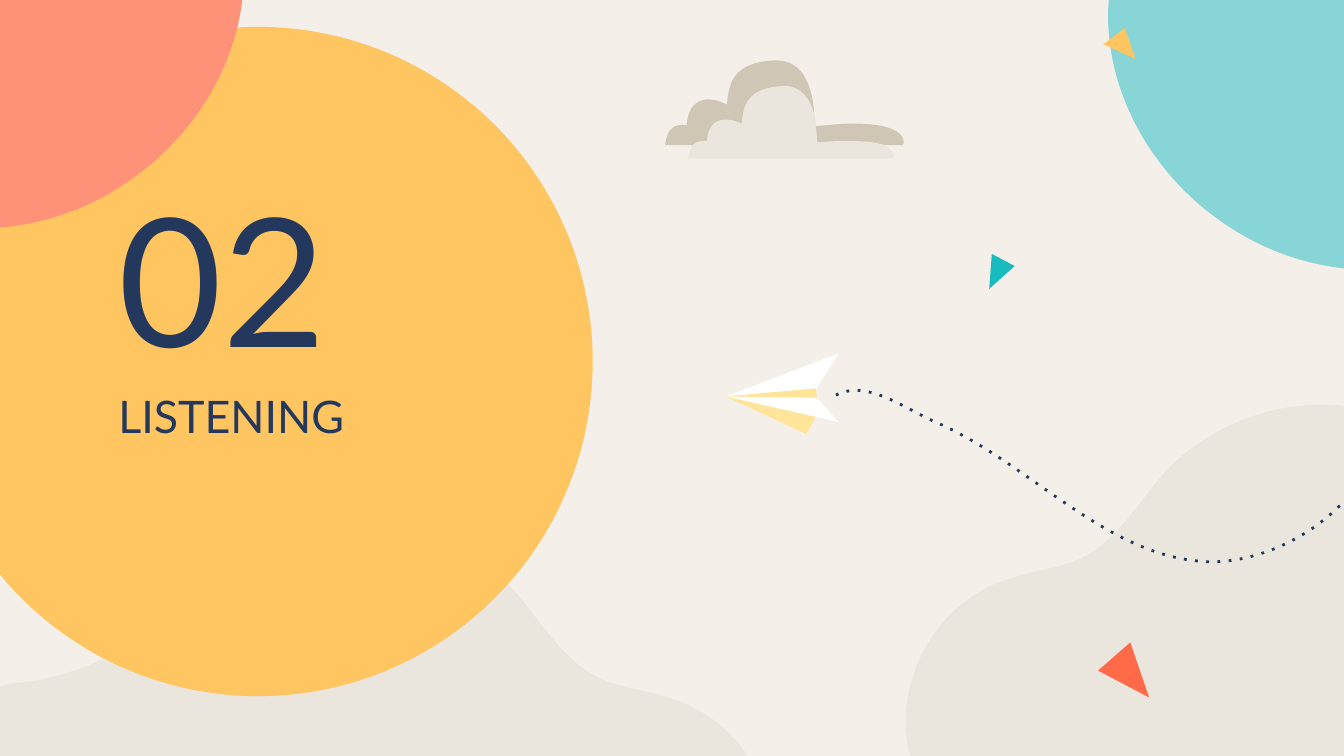
from dataclasses import dataclass

from lxml.etree import SubElement
from pptx import Presentation
from pptx.dml.color import RGBColor
from pptx.enum.dml import MSO_LINE
from pptx.enum.shapes import MSO_SHAPE
from pptx.enum.text import MSO_ANCHOR, MSO_AUTO_SIZE, PP_ALIGN
from pptx.oxml.ns import qn
from pptx.util import Inches, Pt


@dataclass(frozen=True)
class Theme:
    paper: str = "F4F0E9"
    hill: str = "EBE6DD"
    cloud: str = "CFC6B5"
    sun: str = "FFC561"
    sky: str = "87D5D6"
    teal: str = "18BCBE"
    coral: str = "FD9279"
    red: str = "FF6B48"
    cream: str = "FFE599"
    white: str = "FFFFFF"
    ink: str = "23385C"
    font: str = "Lato"
    number_size: int = 96
    title_size: int = 24


@dataclass(frozen=True)
class Box:
    x: int
    y: int
    w: int
    h: int


THEME = Theme()
COLUMNS = 1000
WIDTH = Inches(10)
UNIT = WIDTH // COLUMNS

HILL = [(349, 0), (392, 0, 435, 18, 465, 49), (485, 71, 501, 101, 528, 114),
        (544, 122, 563, 123, 580, 129), (608, 137, 632, 157, 645, 182),
        (659, 207, 663, 238, 655, 265), (18, 261), (17, 262, 17, 262, 16, 262),
        (14, 262, 11, 260, 10, 258), (0, 227, 9, 192, 26, 165),
        (37, 147, 52, 131, 72, 124), (85, 119, 98, 118, 112, 116),
        (132, 112, 152, 105, 170, 95), (211, 72, 242, 34, 285, 14),
        (305, 5, 327, 0, 349, 0)]
CORNER = [(202, 201), (213, 201, 224, 200, 235, 198),
          (240, 198, 245, 197, 250, 195), (250, 0), (4, 0),
          (0, 48, 20, 107, 70, 151), (114, 189, 161, 201, 202, 201)]
TRAIL = [(0, 74), (23, 62, 51, 84, 74, 94), (144, 124, 202, 196, 278, 198),
         (327, 199, 387, 162, 400, 115), (411, 78, 391, 38, 384, 0)]
CLOUD_BACK = [(83, 0), (83, 0, 82, 0, 82, 0), (50, 1, 47, 18, 46, 33),
              (46, 33, 39, 29, 32, 29), (25, 29, 17, 33, 16, 48),
              (16, 48, 14, 48, 12, 48), (8, 48, 1, 50, 0, 63), (177, 63),
              (177, 63, 184, 47, 139, 47), (131, 47, 122, 48, 111, 49),
              (111, 49, 114, 0, 83, 0)]
CLOUD_EDGE = [(111, 40), (111, 45, 111, 49, 111, 49), (112, 49),
              (112, 46, 112, 43, 111, 40)]
CLOUD_BASE = [(20, 63), (19, 66, 17, 69, 17, 73), (170, 73),
              (170, 73, 172, 68, 163, 63)]
CLOUD_FRONT = [(88, 19), (60, 20, 58, 35, 57, 47), (57, 47, 51, 44, 45, 44),
               (39, 44, 32, 47, 31, 60), (31, 60, 29, 60, 28, 60),
               (25, 60, 23, 61, 20, 63), (163, 63), (158, 61, 150, 60, 137, 60),
               (130, 60, 122, 60, 113, 61), (113, 61, 113, 56, 112, 49),
               (111, 49), (111, 49, 111, 45, 111, 40),
               (108, 30, 102, 19, 89, 19)]


def rgb(color):
    return RGBColor.from_string(color)


def paint(sp, color):
    sp.shadow.inherit = False
    sp.fill.solid()
    sp.fill.fore_color.rgb = rgb(color)
    sp.line.fill.background()


def bend(sp, lines, segments):
    for line, points in zip(lines, segments):
        if len(points) == 3:
            line.clear()
            line.tag = qn("a:cubicBezTo")
            for x, y in points:
                SubElement(line, qn("a:pt"), x=str(x - sp.left), y=str(y - sp.top))


def outline(shapes, box, paths, mirror=False, close=True):
    def place(part):
        return [((box.x + (box.w - x if mirror else x)) * UNIT, (box.y + y) * UNIT)
                for x, y in zip(part[::2], part[1::2])]

    builder = None
    segments = []
    for path in paths:
        (first,), *rest = [place(part) for part in path]
        if builder is None:
            builder = shapes.build_freeform(*first, scale=1.0)
        else:
            builder.move_to(*first)
        builder.add_line_segments([points[-1] for points in rest], close=False)
        segments += rest
    sp = builder.convert_to_shape()
    bend(sp, sp._element.xpath(".//a:lnTo"), segments)
    if close:
        geometry = sp._element.xpath(".//a:path")[0]
        for move in geometry.findall(qn("a:moveTo"))[1:]:
            move.addprevious(geometry.makeelement(qn("a:close")))
        SubElement(geometry, qn("a:close"))
    return sp


def add_hill(shapes, box, mirror=False):
    paint(outline(shapes, box, [HILL], mirror), THEME.hill)


def add_corner(shapes, box, color, mirror=False):
    paint(outline(shapes, box, [CORNER], mirror), color)


def add_sun(shapes, box):
    sp = shapes.add_shape(MSO_SHAPE.OVAL, *(v * UNIT for v in (box.x, box.y, box.w, box.h)))
    paint(sp, THEME.sun)


def add_confetti(shapes, box, corners, color):
    paint(outline(shapes, box, [corners]), color)


def add_plane(shapes, box):
    nose = (0, 32)
    for start, end, color in (((84, 0), (65, 30), THEME.white),
                              ((71, 40), (60, 60), THEME.cream),
                              ((65, 30), (84, 51), THEME.white),
                              ((67, 26), (68, 33), THEME.cream)):
        paint(outline(shapes, box, [[start, nose, end]]), color)


def add_trail(shapes, box):
    sp = outline(shapes, box, [TRAIL], close=False)
    sp.shadow.inherit = False
    sp.fill.background()
    sp.line.color.rgb = rgb(THEME.ink)
    sp.line.width = Pt(1.5)
    sp.line.dash_style = MSO_LINE.ROUND_DOT
    for dash in sp._element.xpath(".//a:prstDash"):
        dash.set("val", "dot")


def add_cloud(shapes, box):
    for paths, color in (([CLOUD_BACK], THEME.cloud),
                         ([CLOUD_EDGE, CLOUD_BASE], THEME.hill),
                         ([CLOUD_FRONT], THEME.hill)):
        paint(outline(shapes, box, paths), color)


def set_heading(shapes, sp, box, text, size):
    shapes._spTree.append(sp._element)
    sp.left, sp.top, sp.width, sp.height = (v * UNIT for v in (box.x, box.y, box.w, box.h))
    tf = sp.text_frame
    tf.word_wrap = True
    tf.auto_size = MSO_AUTO_SIZE.NONE
    tf.vertical_anchor = MSO_ANCHOR.MIDDLE
    tf.margin_left = tf.margin_right = tf.margin_top = tf.margin_bottom = Inches(0.1)
    tf.text = text
    p = tf.paragraphs[0]
    p.alignment = PP_ALIGN.LEFT
    p.space_before = Pt(0)
    p.font.name = THEME.font
    p.font.size = Pt(size)
    p.font.color.rgb = rgb(THEME.ink)


def build_section(prs):
    slide = prs.slides.add_slide(prs.slide_layouts[0])
    slide.background.fill.solid()
    slide.background.fill.fore_color.rgb = rgb(THEME.paper)
    shapes = slide.shapes
    title, number = slide.placeholders

    add_hill(shapes, Box(-83, 390, 663, 265))
    add_sun(shapes, Box(-57, 20, 498, 498))
    add_hill(shapes, Box(670, 301, 663, 265), mirror=True)
    add_corner(shapes, Box(821, 0, 250, 201), THEME.sky)
    add_corner(shapes, Box(-65, -31, 250, 201), THEME.coral, mirror=True)
    add_confetti(shapes, Box(821, 21, 24, 23), [(24, 23), (16, 0), (0, 12)], THEME.sun)
    add_confetti(shapes, Box(817, 478, 38, 41), [(38, 41), (24, 0), (0, 21)], THEME.red)
    add_confetti(shapes, Box(736, 189, 19, 26), [(0, 26), (19, 9), (2, 0)], THEME.teal)
    set_heading(shapes, title, Box(78, 245, 312, 129), "LISTENING", THEME.title_size)
    set_heading(shapes, number, Box(78, 155, 209, 100), "02", THEME.number_size)
    flight = shapes.add_group_shape().shapes
    add_plane(flight, Box(540, 263, 84, 60))
    add_trail(flight, Box(622, 220, 411, 199))
    add_cloud(shapes.add_group_shape().shapes, Box(495, 45, 184, 73))


def main():
    prs = Presentation()
    prs.slide_width = WIDTH
    prs.slide_height = WIDTH * 9 // 16
    build_section(prs)
    prs.save("out.pptx")


if __name__ == "__main__":
    main()
